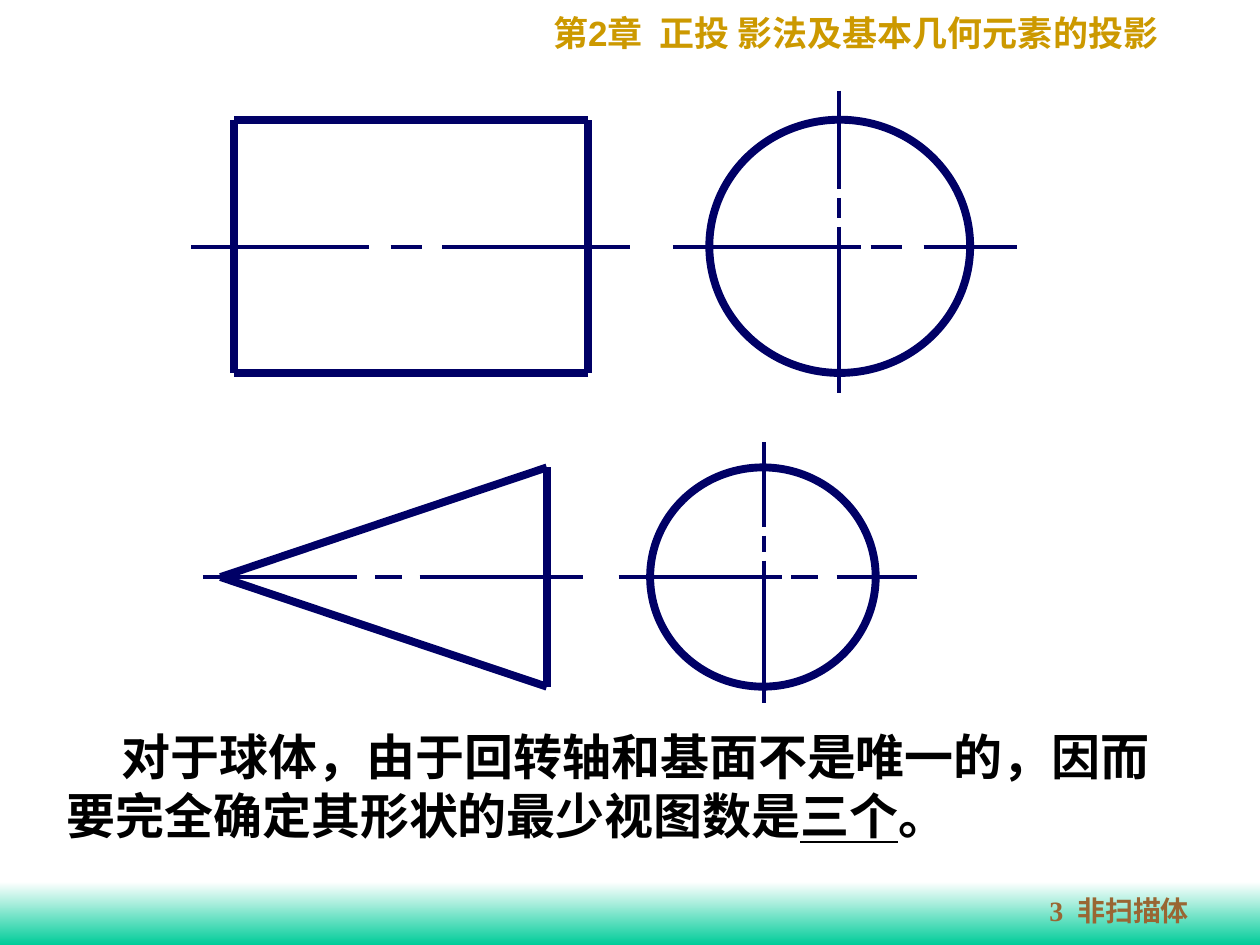
from dataclasses import dataclass
from itertools import pairwise

from lxml.etree import SubElement
from pptx import Presentation
from pptx.dml.color import RGBColor
from pptx.enum.shapes import MSO_CONNECTOR, MSO_SHAPE
from pptx.enum.text import MSO_ANCHOR, MSO_AUTO_SIZE, PP_ALIGN
from pptx.oxml.ns import qn
from pptx.util import Inches, Pt

NAVY = "000066"
CJK_FONT = "Noto Sans CJK SC"
SERIF = "Times New Roman"
OUTLINE, AXIS = 4.5, 2.25


@dataclass(frozen=True)
class Run:
    text: str
    font: str = SERIF
    underline: bool = False
    spacing: float = 0


@dataclass(frozen=True)
class Circle:
    left: float
    top: float
    width: float
    height: float


@dataclass(frozen=True)
class Solid:
    outline: list[tuple[float, float]]
    circle: Circle
    axis_y: float
    axis_x: float
    across: list[tuple[float, float]]
    down: list[tuple[float, float]]


CYLINDER = Solid(
    outline=[(1.86, 0.95), (1.86, 2.96), (4.67, 2.96), (4.67, 0.95)],
    circle=Circle(5.63, 0.95, 2.07, 2.01),
    axis_y=1.96,
    axis_x=6.66,
    across=[(1.52, 2.93), (3.1, 3.35), (3.51, 5), (5.34, 6.83), (6.91, 7.16), (7.33, 8.07)],
    down=[(0.72, 1.5), (1.57, 1.73), (1.8, 3.12)],
)
CONE = Solid(
    outline=[(4.34, 5.45), (4.34, 3.71), (1.75, 4.58)],
    circle=Circle(5.16, 3.71, 1.79, 1.74),
    axis_y=4.58,
    axis_x=6.06,
    across=[(1.61, 2.83), (2.98, 3.19), (3.33, 4.63), (4.91, 6.21), (6.28, 6.49), (6.64, 7.28)],
    down=[(3.51, 4.18), (4.25, 4.38), (4.45, 5.58)],
)


def rgb(color: str) -> RGBColor:
    return RGBColor.from_string(color)


def write_text(holder, runs: list[Run], *, size: float, color: str,
               indent: float = 0, wrap: bool = True) -> None:
    frame = holder.text_frame
    frame.word_wrap = wrap
    frame.auto_size = MSO_AUTO_SIZE.NONE
    frame.vertical_anchor = MSO_ANCHOR.TOP
    paragraph = frame.paragraphs[0]
    paragraph.alignment = PP_ALIGN.LEFT
    paragraph._p.get_or_add_pPr().set("indent", str(Inches(indent)))
    for part in runs:
        run = paragraph.add_run()
        run.text = part.text
        run.font.size = Pt(size)
        run.font.bold = True
        run.font.underline = part.underline
        run.font.color.rgb = rgb(color)
        run.font.name = part.font
        properties = run._r.get_or_add_rPr()
        SubElement(properties, qn("a:ea"), typeface=CJK_FONT)
        if part.spacing:
            properties.set("spc", str(round(part.spacing * 100)))


def add_line(slide, start: tuple[float, float], end: tuple[float, float], weight: float) -> None:
    line = slide.shapes.add_connector(
        MSO_CONNECTOR.STRAIGHT, *(Inches(value) for value in (*start, *end)))
    line.line.color.rgb = rgb(NAVY)
    line.line.width = Pt(weight)
    SubElement(line._element.spPr, qn("a:effectLst"))


def add_circle(slide, circle: Circle) -> None:
    ellipse = slide.shapes.add_shape(
        MSO_SHAPE.OVAL, Inches(circle.left), Inches(circle.top),
        Inches(circle.width), Inches(circle.height))
    ellipse.shadow.inherit = False
    ellipse.fill.background()
    ellipse.line.color.rgb = rgb(NAVY)
    ellipse.line.width = Pt(OUTLINE)


def draw_solid(slide, solid: Solid) -> None:
    for left, right in solid.across:
        add_line(slide, (left, solid.axis_y), (right, solid.axis_y), AXIS)
    for top, bottom in solid.down:
        add_line(slide, (solid.axis_x, top), (solid.axis_x, bottom), AXIS)
    for start, end in pairwise([*solid.outline, solid.outline[0]]):
        add_line(slide, start, end, OUTLINE)
    add_circle(slide, solid.circle)


def add_footer_band(slide) -> None:
    band = slide.shapes.add_shape(
        MSO_SHAPE.RECTANGLE, 0, Inches(7), Inches(10), Inches(0.5))
    band.shadow.inherit = False
    band.line.fill.background()
    band.fill.gradient()
    band.fill.gradient_angle = 270
    for stop, color, position in zip(band.fill.gradient_stops, ("FFFFFF", "00CC99"), (0, 1)):
        stop.color.rgb = rgb(color)
        stop.position = position


def main() -> None:
    presentation = Presentation()
    presentation.slide_width = Inches(10)
    presentation.slide_height = Inches(7.5)
    slide = presentation.slides.add_slide(presentation.slide_layouts[5])

    add_footer_band(slide)

    chapter = slide.shapes.title
    chapter.left, chapter.top = Inches(4.29), Inches(0.04)
    chapter.width, chapter.height = Inches(5.29), Inches(0.44)
    write_text(chapter, [
        Run("第"),
        Run("2", "Arial"),
        Run("章"),
        Run(" ", spacing=5),
        Run("正投 影法及基本几何元素的投影"),
    ], size=20, color="CC9900")

    conclusion = slide.shapes.add_textbox(Inches(0.43), Inches(5.72), Inches(9.06), Inches(1.04))
    write_text(conclusion, [
        Run("对于球体，由于回转轴和基面不是唯一的，因而要完全确定其形状的最少视图数是", CJK_FONT),
        Run("三个", CJK_FONT, underline=True),
        Run("。", CJK_FONT),
    ], size=28, color="000000", indent=0.44)

    for solid in (CYLINDER, CONE):
        draw_solid(slide, solid)

    section = slide.shapes.add_textbox(Inches(8.23), Inches(7.04), Inches(1.57), Inches(0.37))
    write_text(section, [Run("3"), Run(" ", spacing=4), Run("非扫描体")],
               size=16, color="996633")

    presentation.save("out.pptx")


if __name__ == "__main__":
    main()
